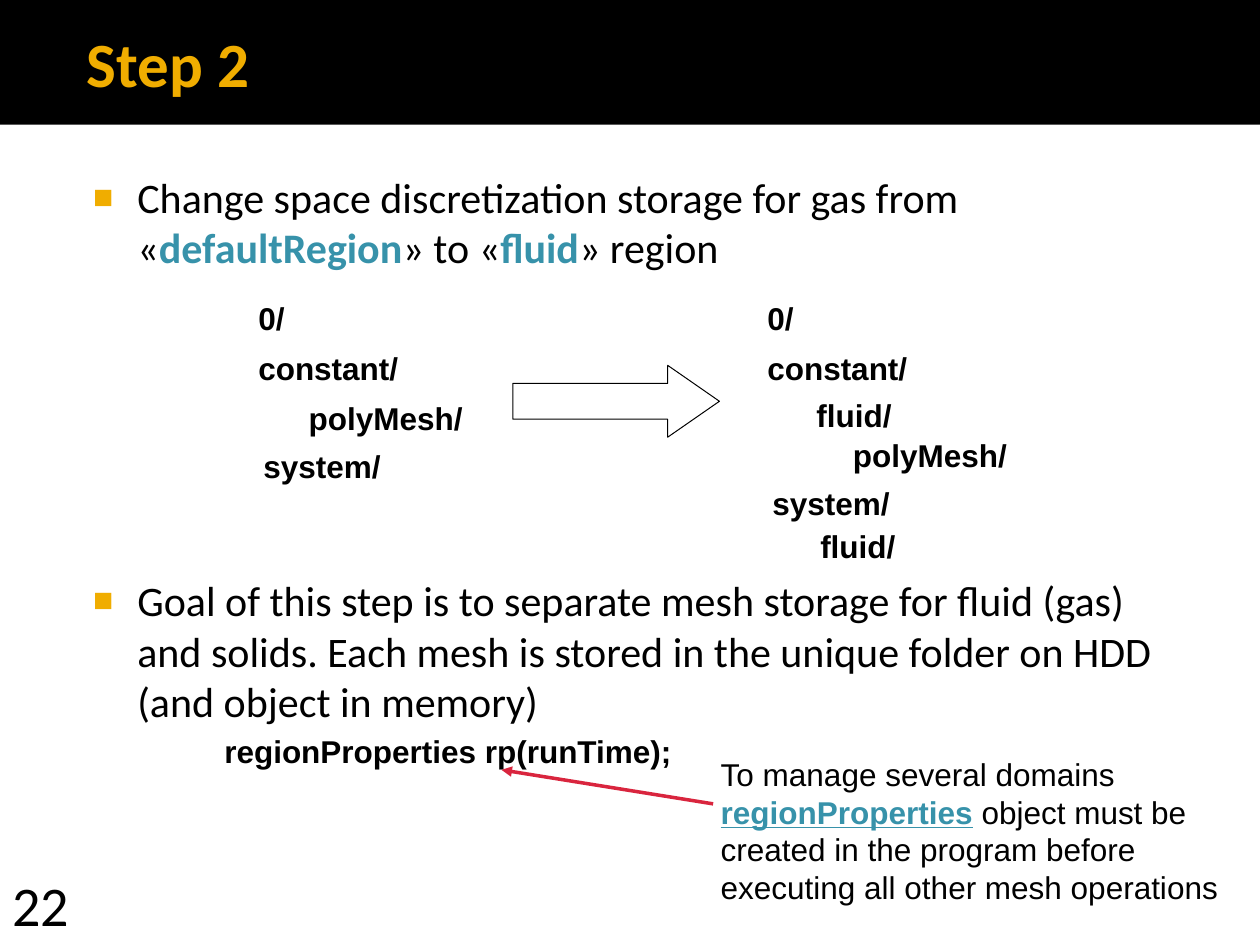
from lxml import etree
from pptx import Presentation
from pptx.dml.color import RGBColor
from pptx.enum.shapes import MSO_CONNECTOR, MSO_SHAPE
from pptx.enum.text import MSO_ANCHOR, MSO_AUTO_SIZE, PP_ALIGN
from pptx.oxml.ns import qn
from pptx.util import Inches, Pt

RECTANGLE, RIGHT_ARROW = MSO_SHAPE.RECTANGLE, MSO_SHAPE.RIGHT_ARROW
STRAIGHT = MSO_CONNECTOR.STRAIGHT
LEFT, TOP, MIDDLE = PP_ALIGN.LEFT, MSO_ANCHOR.TOP, MSO_ANCHOR.MIDDLE
NO_AUTOFIT = MSO_AUTO_SIZE.NONE
BLACK, AMBER, TEAL, RED = "000000", "F0AD00", "3792AA", "D9253E"


def color(hex_string):
    return RGBColor.from_string(hex_string)


def write(para, spans, font_name, size, bold=False, text_color=BLACK):
    """Fill a paragraph with (text, highlighted) spans."""
    para.font.name, para.font.size = font_name, Pt(size)
    para.font.bold = bold
    para.font.color.rgb = color(text_color)
    para.alignment = LEFT
    for text, highlighted in spans:
        span = para.add_run()
        span.text = text
        if highlighted:
            span.font.bold = True
            span.font.color.rgb = color(TEAL)


deck = Presentation()
deck.slide_width, deck.slide_height = Inches(10), Inches(7.5)
page = deck.slides.add_slide(deck.slide_layouts[1])
shapes = page.shapes

# Header band, sent behind the title
band = shapes.add_shape(RECTANGLE, 0, 0, Inches(10), Inches(0.99))
band.shadow.inherit = False
band.fill.solid()
band.fill.fore_color.rgb = color(BLACK)
band.line.fill.background()
shapes.element.insert(2, band.element)

# Title
title = shapes.title
title.left, title.top = Inches(0.59), Inches(0)
title.width, title.height = Inches(9), Inches(0.99)
frame = title.text_frame
frame.auto_size, frame.vertical_anchor = NO_AUTOFIT, MIDDLE
write(frame.paragraphs[0], [("Step 2", False)], "Calibri", 36, True, AMBER)

# Bulleted list, with room for the folder trees between the items
items = [
    (0, [("Change space discretization storage for gas from «", False),
         ("defaultRegion", True), ("» to «", False), ("fluid", True),
         ("» region", False)]),
    (173, [("Goal of this step is to separate mesh storage for fluid (gas) and "
            "solids. Each mesh is stored in the unique folder on HDD (and "
            "object in memory)", False)]),
]
body = page.placeholders[1]
body.left, body.top = Inches(0.51), Inches(1.31)
body.width, body.height = Inches(9), Inches(5.06)
frame = body.text_frame
frame.auto_size, frame.vertical_anchor = NO_AUTOFIT, TOP
for index, (gap, spans) in enumerate(items):
    para = frame.add_paragraph() if index else frame.paragraphs[0]
    properties = para._p.get_or_add_pPr()
    properties.set("marL", str(Inches(0.48)))
    properties.set("indent", str(Inches(-0.35)))
    bullet_color = etree.SubElement(properties, qn("a:buClr"))
    etree.SubElement(bullet_color, qn("a:srgbClr"), val=AMBER)
    etree.SubElement(properties, qn("a:buSzPct"), val="80000")
    etree.SubElement(properties, qn("a:buChar"), char="■")
    para.space_before = Pt(gap)
    write(para, spans, "Calibri", 24)

# Folder trees before and after, the code line and its explanation
labels = [
    (1.96, 2.33, 0.5, "0/"),
    (1.96, 2.73, 1.78, "constant/"),
    (2.36, 3.13, 1.7, "polyMesh/"),
    (2, 3.51, 1.58, "system/"),
    (6, 2.33, 0.5, "0/"),
    (6, 2.73, 1.52, "constant/"),
    (6.39, 3.1, 1.13, "fluid/"),
    (6.68, 3.42, 1.63, "polyMesh/"),
    (6.04, 3.8, 1.48, "system/"),
    (6.42, 4.14, 1.18, "fluid/"),
    (1.69, 5.77, 6.32, "regionProperties rp(runTime);"),
]
notes = [(left, top, width, 0.34, True, [[(text, False)]])
         for left, top, width, text in labels]
notes.append((5.63, 5.95, 4.19, 1.26, False, [
    [("To manage several domains", False)],
    [("regionProperties", True),
     (" object must be created in the program before executing all other "
      "mesh operations", False)],
]))
for left, top, width, height, bold, paragraphs in notes:
    box = shapes.add_textbox(Inches(left), Inches(top), Inches(width), Inches(height))
    frame = box.text_frame
    frame.word_wrap = True
    frame.margin_left = frame.margin_right = Inches(0.09)
    frame.margin_top = frame.margin_bottom = Inches(0.04)
    for index, spans in enumerate(paragraphs):
        para = frame.add_paragraph() if index else frame.paragraphs[0]
        write(para, spans, "Arial", 18, bold)
# The last box is the explanation; its class name is underlined
frame.paragraphs[1].runs[0].font.underline = True

# Block arrow between the trees
arrow = shapes.add_shape(RIGHT_ARROW, Inches(4.07), Inches(2.9), Inches(1.64), Inches(0.57))
arrow.shadow.inherit = False
arrow.adjustments[0], arrow.adjustments[1] = 0.5, 0.72
arrow.fill.background()
arrow.line.color.rgb = color(BLACK)
arrow.line.width = Pt(0.57)

# Pointer from the explanation to the code line
pointer = shapes.add_connector(STRAIGHT, Inches(5.66), Inches(6.38), Inches(3.98), Inches(6.11))
pointer.line.color.rgb = color(RED)
pointer.line.width = Pt(2)
pointer_properties = pointer.element.spPr
etree.SubElement(pointer_properties.find(qn("a:ln")), qn("a:tailEnd"), type="triangle")
etree.SubElement(pointer_properties, qn("a:effectLst"))

# Page number
number = shapes.add_textbox(Inches(0), Inches(6.86), Inches(0.83), Inches(0.64))
number.text_frame.word_wrap = True
write(number.text_frame.paragraphs[0], [("22", False)], "Calibri", 32)

deck.save("out.pptx")
